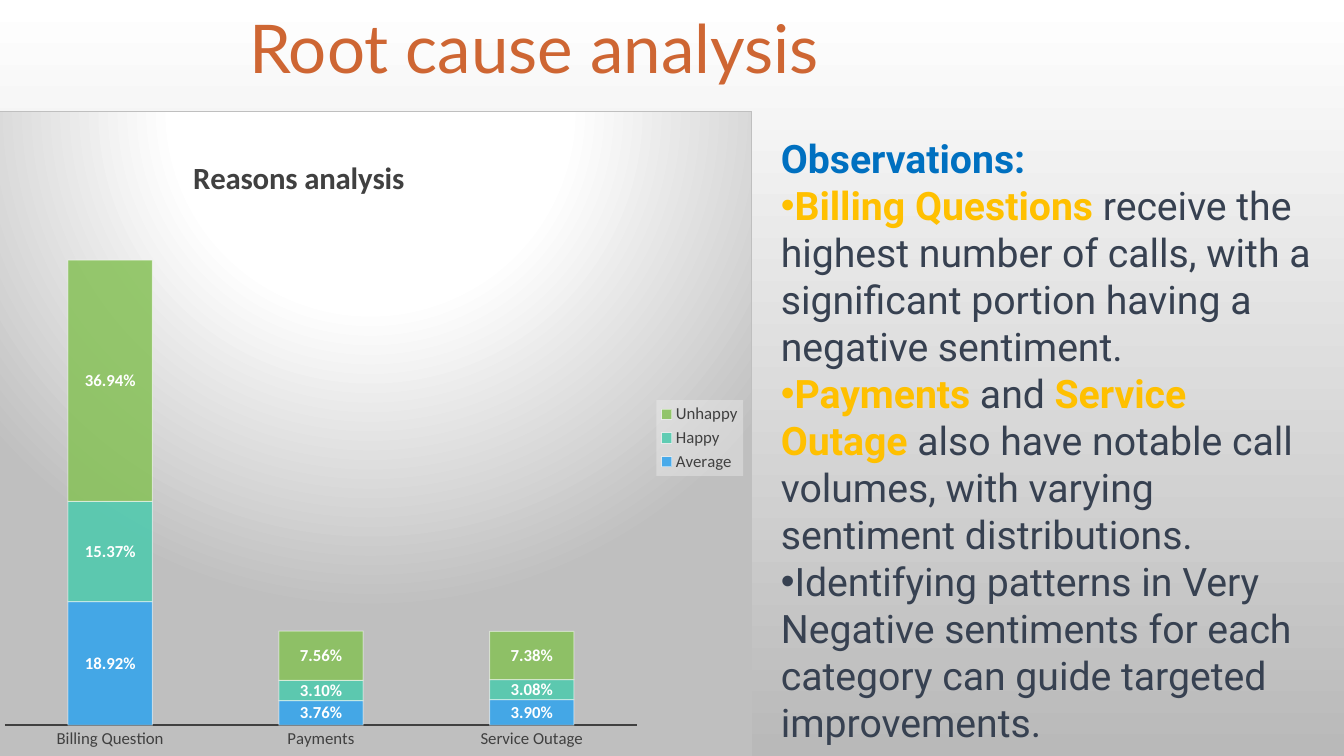
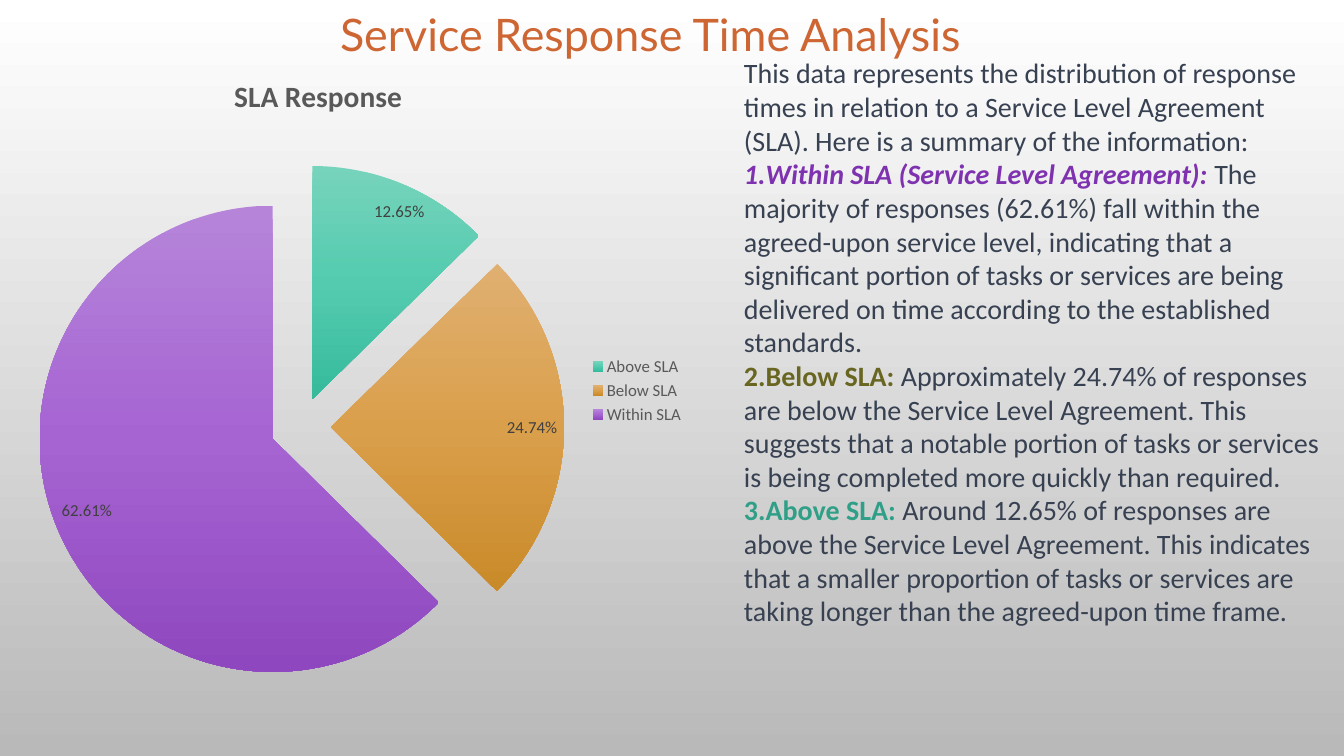
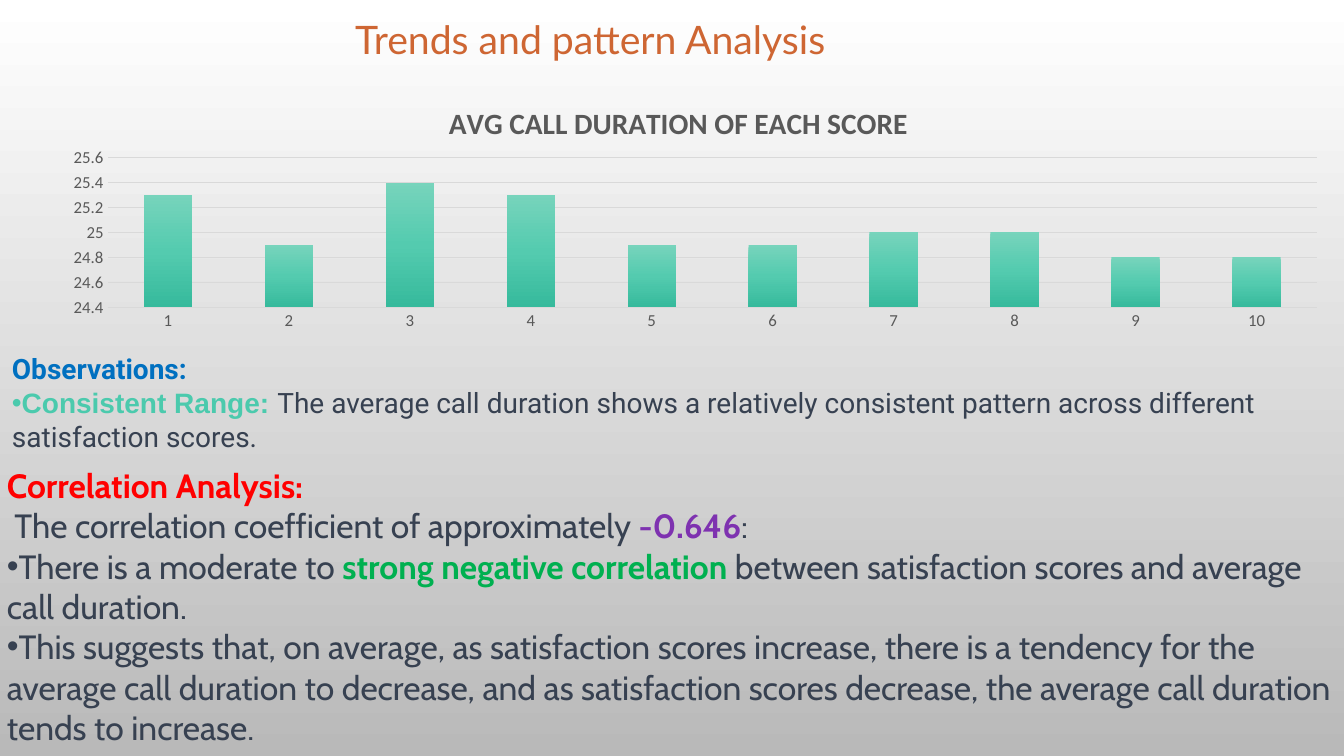
from dataclasses import dataclass

from lxml.etree import SubElement
from pptx import Presentation
from pptx.chart.data import CategoryChartData
from pptx.dml.color import RGBColor
from pptx.enum.chart import XL_CHART_TYPE, XL_LABEL_POSITION, XL_LEGEND_POSITION, XL_TICK_MARK
from pptx.enum.text import MSO_ANCHOR, MSO_AUTO_SIZE, PP_ALIGN
from pptx.oxml import parse_xml
from pptx.oxml.ns import nsdecls, qn
from pptx.util import Pt


@dataclass(frozen=True)
class Theme:
    background: tuple = ("FFFFFF", "B9B9B9")
    title: str = "CE6633"
    body: str = "374151"
    heading: str = "0070C0"
    gold: str = "FFC000"
    purple: str = "7E32B0"
    olive: str = "686620"
    green: str = "2FA087"
    mint: str = "4BCAAD"
    red: str = "FF0000"
    leaf: str = "00B050"
    white: str = "FFFFFF"
    dark: str = "404040"
    grey: str = "595959"
    rule: str = "D9D9D9"
    border: str = "BFBFBF"
    stack: tuple = ("2FA3EE", "4BCAAD", "86C157")
    mint_fade: tuple = ("77D4BC", "54CBAF", "36BA9C")
    amber_fade: tuple = ("E0B071", "DA9F4B", "C98A29")
    violet_fade: tuple = ("B685DA", "A664D2", "8F47BF")
    title_font: str = "Lato"
    chart_font: str = "Calibri"
    label_size: int = 12
    chart_title_size: int = 21


THEME = Theme()
PX = 914400 / 100.8
SLIDE_SIZE = (1344, 756)
PERCENT = "0.00%"

REASONS = {
    "title": "Reasons analysis",
    "box": (-11, 111, 763, 654),
    "title_at": (0.26, 0.06),
    "plot_at": (0.02, 0.14, 0.83, 0.8),
    "categories": ("Billing Question", "Payments", "Service Outage"),
    "series": {
        "Average": (0.1892, 0.0376, 0.039),
        "Happy": (0.1537, 0.031, 0.0308),
        "Unhappy": (0.3694, 0.0756, 0.0738),
    },
}
RESPONSE = {
    "title": "SLA Response",
    "box": (-22, 57, 717, 667),
    "title_at": (0.35, 0.02),
    "plot_at": (0.08, 0.16, 0.74, 0.79),
    "categories": ("Above SLA", "Below SLA", "Within SLA"),
    "series": {"Series 1": (0.1265, 0.2474, 0.6261)},
}
DURATION = {
    "title": "AVG CALL DURATION OF EACH SCORE",
    "box": (0, 77, 1344, 288),
    "title_at": (0.33, 0.07),
    "plot_at": (0.08, 0.28, 0.9, 0.52),
    "categories": tuple(str(score) for score in range(1, 11)),
    "series": {"Series 1": (25.3, 24.9, 25.4, 25.3, 24.9, 24.9, 25, 25, 24.8, 24.8)},
}

SLIDES = [
    {
        "title": ("Root cause analysis", 48, (239, 1, 936, 92)),
        "chart": REASONS,
        "texts": [
            {
                "box": (771, 129, 559, 675), "font": "Roboto", "size": 28,
                "paras": [
                    ("", [("Observations:", THEME.heading)]),
                    ("•", [
                        ("Billing Questions ", THEME.gold),
                        ("receive the highest number of calls, with a significant portion "
                         "having a negative sentiment.",),
                    ]),
                    ("•", [
                        ("Payments", THEME.gold),
                        (" and ",),
                        ("Service Outage ", THEME.gold),
                        ("also have notable call volumes, with varying sentiment distributions.",),
                    ]),
                    ("•", [
                        ("Identifying patterns in Very Negative sentiments for each category "
                         "can guide targeted improvements.",),
                    ]),
                ],
            },
        ],
    },
    {
        "title": ("Service Response Time Analysis", 32, (330, 2, 771, 65)),
        "chart": RESPONSE,
        "texts": [
            {
                "box": (734, 51, 610, 723), "font": "Calibri", "size": 20,
                "paras": [
                    ("", [
                        ("This data represents the distribution of response times in relation to a "
                         "Service Level Agreement (SLA). Here is a summary of the information:",),
                    ]),
                    ("1.", [
                        ("Within SLA (Service Level Agreement): ", THEME.purple, {"italic": True}),
                        ("The majority of responses (62.61%) fall within the agreed-upon service "
                         "level, indicating that a significant portion of tasks or services are "
                         "being delivered on time according to the established standards.",),
                    ]),
                    ("1.", [
                        ("Below SLA: ", THEME.olive),
                        ("Approximately 24.74% of responses are below the Service Level Agreement. "
                         "This suggests that a notable portion of tasks or services is being "
                         "completed more quickly than required.",),
                    ]),
                    ("1.", [
                        ("Above SLA: ", THEME.green),
                        ("Around 12.65% of responses are above the Service Level Agreement. This "
                         "indicates that a smaller proportion of tasks or services are taking "
                         "longer than the agreed-upon time frame.",),
                    ]),
                ],
            },
        ],
    },
    {
        "title": ("Trends and pattern Analysis", 28, (345, 10, 707, 57)),
        "chart": DURATION,
        "texts": [
            {
                "box": (2, 347, 1342, 146), "font": "Roboto", "size": 20,
                "paras": [
                    ("", [("Observations:", THEME.heading)]),
                    ("•", [
                        ("Consistent Range: ", THEME.mint, {"name": "Arial"}),
                        ("The average call duration shows a relatively consistent pattern across "
                         "different satisfaction scores.",),
                    ]),
                ],
            },
            {
                "box": (-3, 460, 1344, 336), "font": "Cabin", "size": 24,
                "paras": [
                    ("", [("Correlation Analysis:", THEME.red)]),
                    ("", [
                        (" The correlation coefficient of approximately ",),
                        ("-0.646", THEME.purple),
                        (":",),
                    ]),
                    ("•", [
                        ("There is a moderate to ",),
                        ("strong negative correlation ", THEME.leaf),
                        ("between satisfaction scores and average call duration.",),
                    ]),
                    ("•", [
                        ("This suggests that, on average, as satisfaction scores increase, there is "
                         "a tendency for the average call duration to decrease, and as satisfaction "
                         "scores decrease, the average call duration tends to increase.",),
                    ]),
                ],
            },
        ],
    },
]

NO_FILL = "<a:noFill/><a:ln><a:noFill/></a:ln>"
SPOTLIGHT = (
    '<a:gradFill><a:gsLst>'
    f'<a:gs pos="0"><a:srgbClr val="{THEME.white}"/></a:gs>'
    f'<a:gs pos="39000"><a:srgbClr val="{THEME.white}"/></a:gs>'
    f'<a:gs pos="100000"><a:srgbClr val="{THEME.border}"/></a:gs></a:gsLst>'
    '<a:path path="circle"><a:fillToRect l="50000" t="-80000" r="50000" b="180000"/></a:path>'
    f'</a:gradFill><a:ln w="9525"><a:solidFill><a:srgbClr val="{THEME.border}"/></a:solidFill></a:ln>'
)
LEGEND_VEIL = (
    '<a:solidFill><a:srgbClr val="F2F2F2"><a:alpha val="39000"/></a:srgbClr></a:solidFill>'
)


def rgb(color):
    return RGBColor.from_string(color)


def scaled(box):
    return [round(length * PX) for length in box]


def style_font(font, size, color, bold=False, name=THEME.chart_font):
    font.size, font.bold, font.name = Pt(size), bold, name
    font.color.rgb = rgb(color)


def fade(fill, colors):
    fill.gradient()
    fill.gradient_angle = 270
    stops = fill._xPr.find(qn("a:gradFill")).find(qn("a:gsLst"))
    for stop in list(stops):
        stops.remove(stop)
    for index, color in enumerate(colors):
        stop = SubElement(stops, qn("a:gs"), pos=str(100000 * index // (len(colors) - 1)))
        SubElement(stop, qn("a:srgbClr"), val=color)


def chart_shape(content):
    return parse_xml(f'<c:spPr {nsdecls("c", "a")}>{content}</c:spPr>')


def place(parent, fractions, inner=False):
    layout = parent.find(qn("c:layout"))
    if layout is None:
        layout = parse_xml(f'<c:layout {nsdecls("c")}/>')
        parent.insert(len(parent.findall(qn("c:tx"))), layout)
    manual = SubElement(layout, qn("c:manualLayout"))
    if inner:
        SubElement(manual, qn("c:layoutTarget"), val="inner")
    for mode in ("xMode", "yMode"):
        SubElement(manual, qn(f"c:{mode}"), val="edge")
    for side, fraction in zip("xywh", fractions):
        SubElement(manual, qn(f"c:{side}"), val=str(fraction))


def add_chart(page, kind, content, title_color, title_size, backdrop=NO_FILL):
    data = CategoryChartData()
    data.categories = content["categories"]
    for name, values in content["series"].items():
        data.add_series(name, values)
    chart = page.shapes.add_chart(kind, *scaled(content["box"]), data).chart
    chart.font.size, chart.font.name = Pt(10), THEME.chart_font
    chart.has_legend = False
    title = chart.chart_title
    para = title.text_frame.paragraphs[0]
    para.text = content["title"]
    style_font(para.font, title_size, title_color, True)
    style_font(para.runs[0].font, title_size, title_color, True)
    place(title._element, content["title_at"])
    area = chart._chartSpace.find(qn("c:chart"))
    plot_area = area.find(qn("c:plotArea"))
    place(plot_area, content["plot_at"], True)
    plot_area.append(chart_shape(NO_FILL))
    area.addnext(chart_shape(backdrop))
    chart.plots[0].vary_by_categories = kind == XL_CHART_TYPE.PIE
    return chart


def add_legend(chart, color):
    chart.has_legend = True
    chart.legend.position = XL_LEGEND_POSITION.RIGHT
    chart.legend.include_in_layout = False
    style_font(chart.legend.font, THEME.label_size, color)
    return chart.legend


def add_labels(series, color, position, bold=False):
    labels = series.data_labels
    labels.show_value = True
    labels.number_format, labels.number_format_is_linked = PERCENT, False
    labels.position = position
    style_font(labels.font, THEME.label_size, color, bold)


def style_columns(chart, text_color, line_color, line_width):
    plot = chart.plots[0]
    plot.gap_width, plot.overlap = 150, 100
    for axis in (chart.category_axis, chart.value_axis):
        axis.major_tick_mark = XL_TICK_MARK.NONE
        style_font(axis.tick_labels.font, THEME.label_size, text_color)
    line = chart.category_axis.format.line
    line.color.rgb, line.width = rgb(line_color), Pt(line_width)


def set_scale(axis, low, high, step):
    axis.minimum_scale, axis.maximum_scale, axis.major_unit = low, high, step


def add_reasons(page, content):
    chart = add_chart(page, XL_CHART_TYPE.COLUMN_STACKED, content, THEME.dark,
                      THEME.chart_title_size + 1, SPOTLIGHT)
    style_columns(chart, THEME.dark, THEME.dark, 1.5)
    axis = chart.value_axis
    axis.visible = axis.has_major_gridlines = False
    set_scale(axis, 0, 0.8, 0.1)
    for series, color in zip(chart.plots[0].series, THEME.stack):
        look = series.format
        look.fill.solid()
        look.fill.fore_color.rgb = rgb(color)
        look.line.color.rgb, look.line.width = rgb(THEME.white), Pt(0.75)
        for paint, alpha in zip(look.fill._xPr.iter(qn("a:srgbClr")), (85000, 50000)):
            SubElement(paint, qn("a:alpha"), val=str(alpha))
        add_labels(series, THEME.white, XL_LABEL_POSITION.CENTER, True)
    legend = add_legend(chart, THEME.dark)
    legend._element.find(qn("c:overlay")).addnext(chart_shape(LEGEND_VEIL))


def add_response(page, content):
    chart = add_chart(page, XL_CHART_TYPE.PIE, content, THEME.grey, THEME.chart_title_size)
    series = chart.plots[0].series[0]
    explosion = parse_xml(f'<c:explosion {nsdecls("c")} val="13"/>')
    series._element.find(qn("c:tx")).addnext(explosion)
    for index, colors in enumerate((THEME.mint_fade, THEME.amber_fade, THEME.violet_fade)):
        fade(series.points[index].format.fill, colors)
    add_labels(series, THEME.dark, XL_LABEL_POSITION.BEST_FIT)
    add_legend(chart, THEME.grey)


def add_duration(page, content):
    chart = add_chart(page, XL_CHART_TYPE.COLUMN_STACKED, content, THEME.grey,
                      THEME.chart_title_size)
    style_columns(chart, THEME.grey, THEME.rule, 1)
    axis = chart.value_axis
    set_scale(axis, 24.4, 25.6, 0.2)
    axis.tick_labels.number_format, axis.tick_labels.number_format_is_linked = "General", False
    axis.format.line.fill.background()
    grid = axis.major_gridlines.format.line
    grid.color.rgb, grid.width = rgb(THEME.rule), Pt(0.75)
    fade(chart.plots[0].series[0].format.fill, THEME.mint_fade)


def set_bullet(para, bullet):
    properties = para._p.get_or_add_pPr()
    properties.set("marL", "0")
    properties.set("indent", "0")
    if bullet == "•":
        SubElement(properties, qn("a:buFont"), typeface="Arial")
        SubElement(properties, qn("a:buChar"), char=bullet)
    elif bullet:
        SubElement(properties, qn("a:buAutoNum"), type="arabicPeriod")


def add_text(page, content):
    frame = page.shapes.add_textbox(*scaled(content["box"])).text_frame
    frame.word_wrap = True
    frame.auto_size = MSO_AUTO_SIZE.SHAPE_TO_FIT_TEXT
    for index, (bullet, spans) in enumerate(content["paras"]):
        para = frame.add_paragraph() if index else frame.paragraphs[0]
        set_bullet(para, bullet)
        para.font.size, para.font.name = Pt(content["size"]), content["font"]
        for text, *accent in spans:
            color, extra = (accent + [{}])[:2] if accent else (THEME.body, {})
            span = para.add_run()
            span.text = text
            style_font(span.font, content["size"], color, bool(accent),
                       extra.get("name", content["font"]))
            if "italic" in extra:
                span.font.italic = extra["italic"]


def set_title(page, text, size, box):
    title = page.shapes.title
    title.left, title.top, title.width, title.height = scaled(box)
    frame = title.text_frame
    frame.word_wrap = True
    frame.auto_size = MSO_AUTO_SIZE.NONE
    frame.vertical_anchor = MSO_ANCHOR.TOP
    para = frame.paragraphs[0]
    para.text = text
    para.alignment = PP_ALIGN.LEFT
    style_font(para.font, size, THEME.title, name=THEME.title_font)


def main():
    deck = Presentation()
    deck.slide_width, deck.slide_height = scaled(SLIDE_SIZE)
    fade(deck.slide_master.background.fill, THEME.background)
    for content, draw_chart in zip(SLIDES, (add_reasons, add_response, add_duration)):
        page = deck.slides.add_slide(deck.slide_layouts[5])
        set_title(page, *content["title"])
        draw_chart(page, content["chart"])
        for text in content["texts"]:
            add_text(page, text)
    deck.save("out.pptx")


if __name__ == "__main__":
    main()
